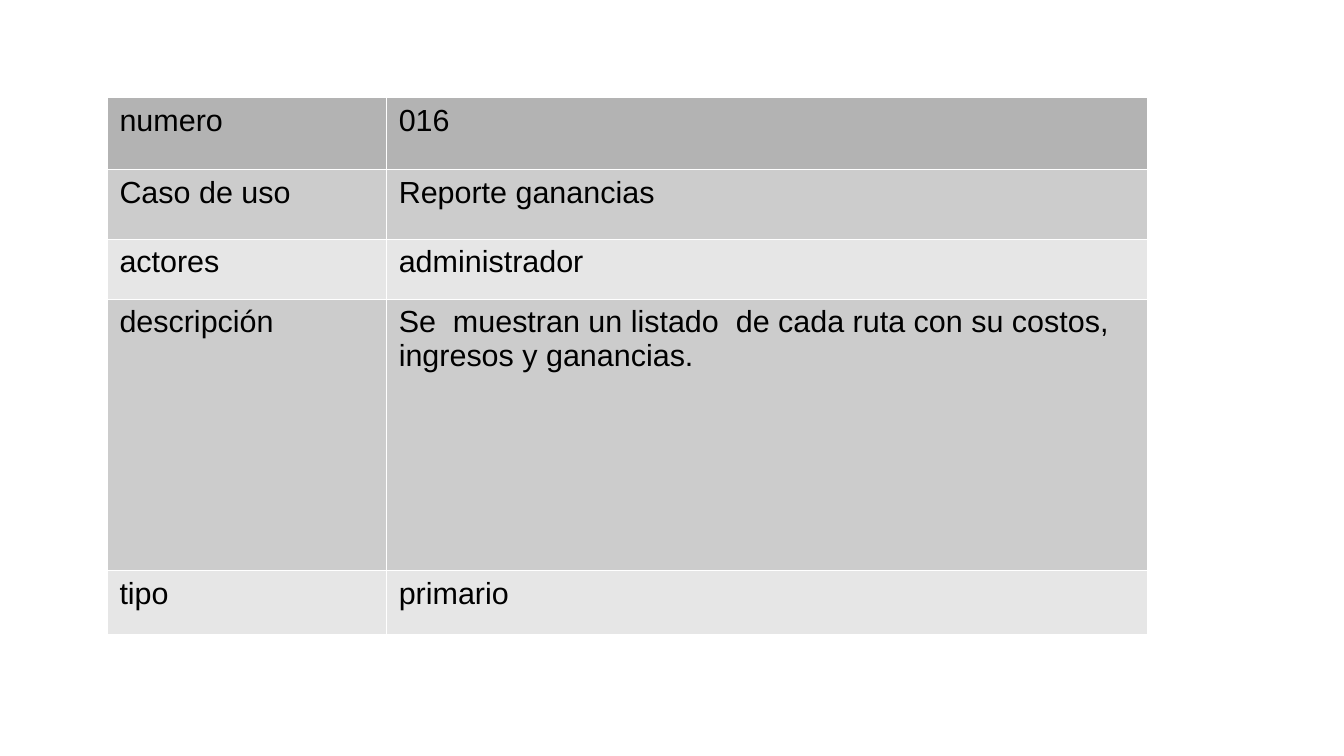
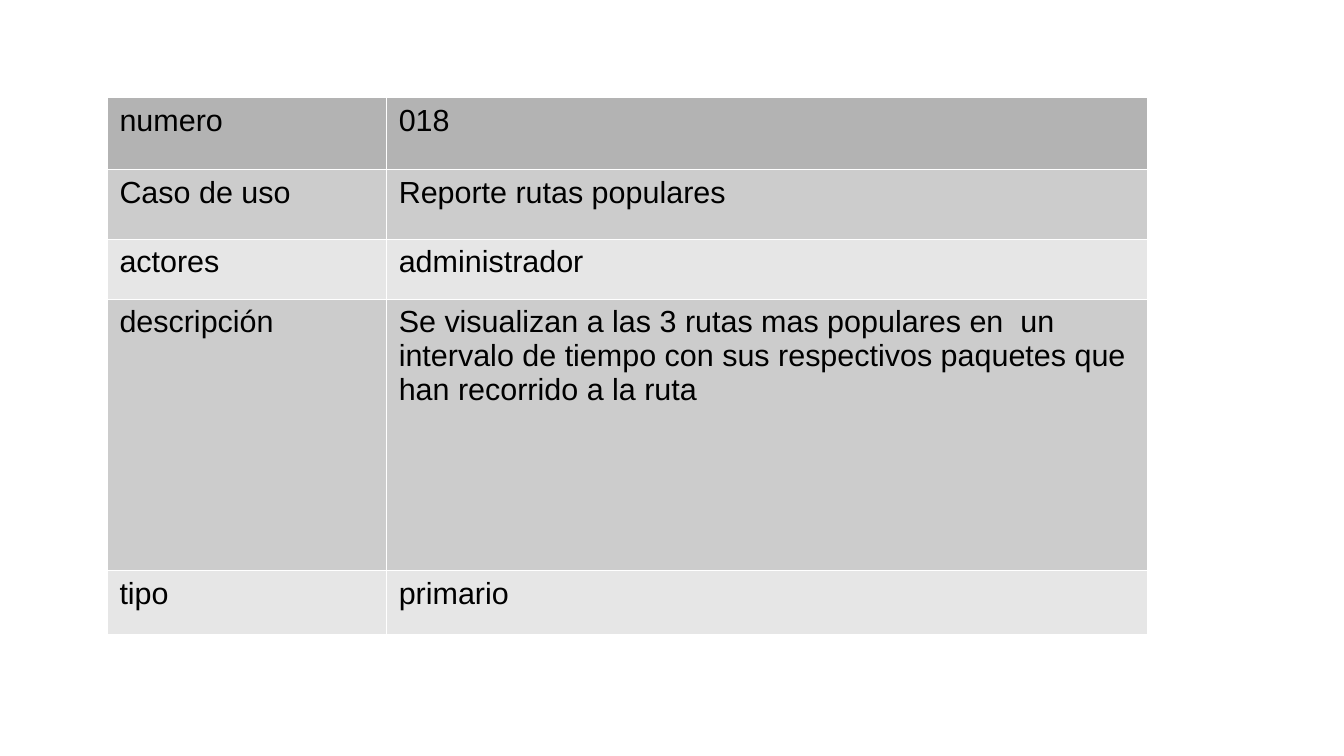
from dataclasses import dataclass

from lxml import etree
from pptx import Presentation
from pptx.dml.color import RGBColor
from pptx.oxml.ns import qn
from pptx.util import Inches, Pt

BLANK_LAYOUT = 6
BORDER_SIDES = ("a:lnL", "a:lnR", "a:lnT", "a:lnB")


@dataclass(frozen=True)
class Theme:
    font: str = "Arial"
    size: float = 18
    text: str = "000000"
    header: str = "B3B3B3"
    bands: tuple = ("CCCCCC", "E6E6E6")
    border: str = "FFFFFF"
    border_width: float = 0.06


THEME = Theme()
SLIDE_SIZE = (11.02, 6.2)
TABLE_ORIGIN = (0.88, 0.8)
COLUMN_WIDTHS = (2.29, 6.24)
ROW_HEIGHTS = (0.59, 0.57, 0.49, 2.23, 0.52)
LABELS = ("numero", "Caso de uso", "actores", "descripción", "tipo")
USE_CASES = (
    (
        "016",
        "Reporte ganancias",
        "administrador",
        "Se  muestran un listado  de cada ruta con su costos, "
        "ingresos y ganancias.",
        "primario",
    ),
    (
        "018",
        "Reporte rutas populares",
        "administrador",
        "Se visualizan a las 3 rutas mas populares en  un intervalo de tiempo "
        "con sus respectivos paquetes que han recorrido a la ruta",
        "primario",
    ),
)


def row_color(row):
    if row == 0:
        return THEME.header
    return THEME.bands[(row - 1) % len(THEME.bands)]


def add_borders(cell):
    properties = cell._tc.get_or_add_tcPr()
    for side in BORDER_SIDES:
        line = etree.SubElement(properties, qn(side), w=str(Pt(THEME.border_width)))
        fill = etree.SubElement(line, qn("a:solidFill"))
        etree.SubElement(fill, qn("a:srgbClr"), val=THEME.border)


def write_cell(cell, content, color):
    add_borders(cell)
    cell.fill.solid()
    cell.fill.fore_color.rgb = RGBColor.from_string(color)
    cell.text_frame.text = content
    font = cell.text_frame.paragraphs[0].runs[0].font
    font.name = THEME.font
    font.size = Pt(THEME.size)
    font.bold = False
    font.color.rgb = RGBColor.from_string(THEME.text)


def add_use_case(presentation, values):
    slide = presentation.slides.add_slide(presentation.slide_layouts[BLANK_LAYOUT])
    left, top = TABLE_ORIGIN
    table = slide.shapes.add_table(
        len(LABELS), len(COLUMN_WIDTHS), Inches(left), Inches(top),
        Inches(sum(COLUMN_WIDTHS)), Inches(sum(ROW_HEIGHTS)),
    ).table
    for column, width in zip(table.columns, COLUMN_WIDTHS):
        column.width = Inches(width)
    for row, height in zip(table.rows, ROW_HEIGHTS):
        row.height = Inches(height)
    for index, entry in enumerate(zip(LABELS, values)):
        for column, content in enumerate(entry):
            write_cell(table.cell(index, column), content, row_color(index))


def main():
    presentation = Presentation()
    width, height = SLIDE_SIZE
    presentation.slide_width = Inches(width)
    presentation.slide_height = Inches(height)
    for values in USE_CASES:
        add_use_case(presentation, values)
    presentation.save("out.pptx")


if __name__ == "__main__":
    main()
